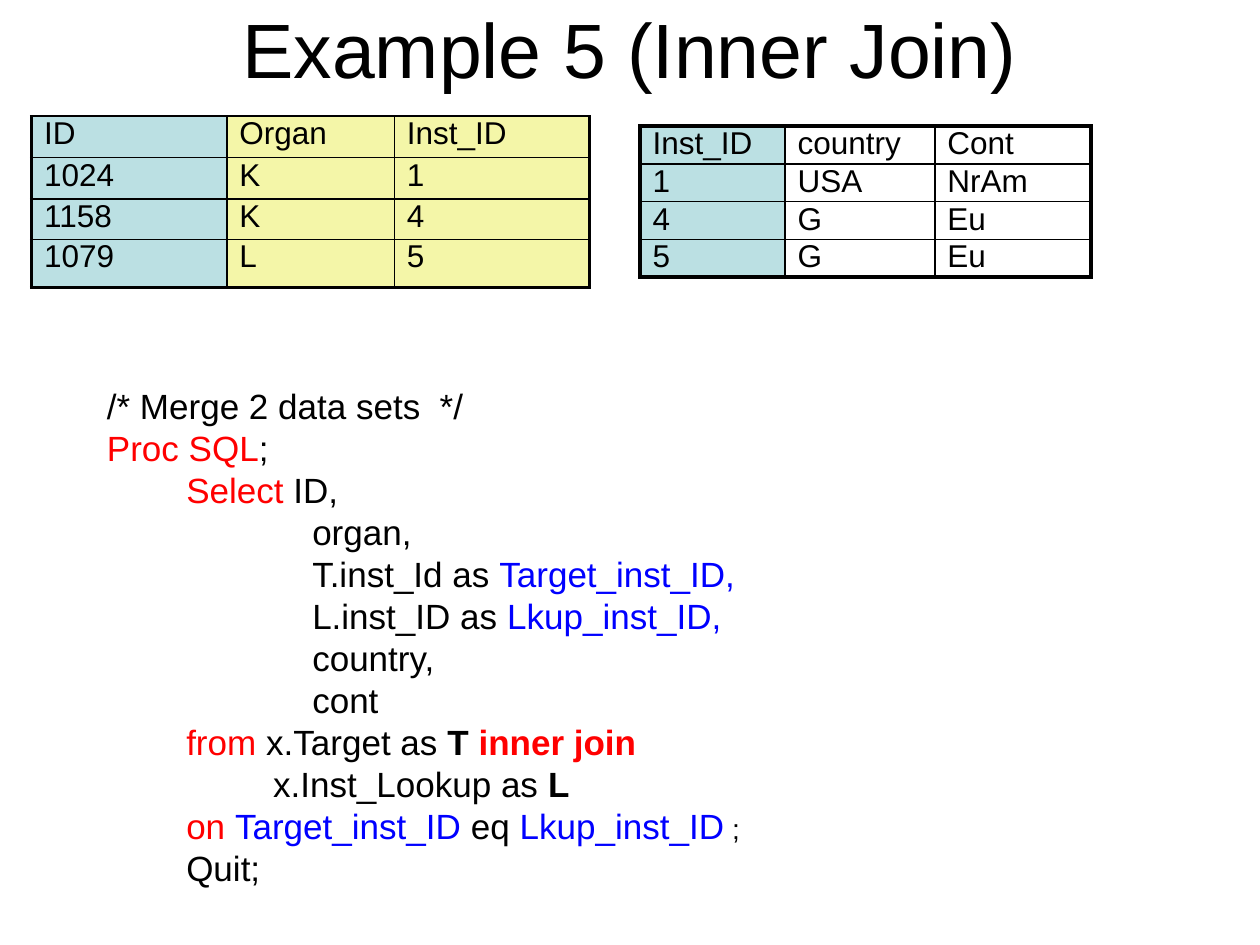
"""Build a slide showing an SQL inner join of two small tables."""
from lxml import etree
from pptx import Presentation
from pptx.dml.color import RGBColor
from pptx.enum.text import MSO_ANCHOR, PP_ALIGN
from pptx.oxml.ns import qn
from pptx.util import Inches, Pt

CENTER = PP_ALIGN.CENTER
MIDDLE = MSO_ANCHOR.MIDDLE
TOP = MSO_ANCHOR.TOP

FONT = "Arial"
COLORS = {"text": "000000", "keyword": "FF0000", "alias": "0000FF",
          "key": "BBE0E3", "target": "F4F6A8"}
THIN, THICK = 1, 2.25
TITLE = "Example 5 (Inner Join)"

TABLES = [
    {"at": (0.25, 0.92), "widths": [1.55, 1.33, 1.55],
     "heights": [0.33, 0.33, 0.32, 0.38],
     "fills": ["key", "target", "target"], "top": THIN,
     "rows": [("ID", "Organ", "Inst_ID"), ("1024", "K", "1"),
              ("1158", "K", "4"), ("1079", "L", "5")]},
    {"at": (5.08, 1), "widths": [1.15, 1.19, 1.24],
     "heights": [0.3] * 4,
     "fills": ["key", None, None], "top": THICK,
     "rows": [("Inst_ID", "country", "Cont"), ("1", "USA", "NrAm"),
              ("4", "G", "Eu"), ("5", "G", "Eu")]},
]

TAB_STOPS = [0.63, 1.32, 1.63]
CODE = [
    [("/* Merge 2 data sets  */", "text")],
    [("Proc SQL", "keyword"), (";", "text")],
    [("\tSelect", "keyword"), (" ID,", "text")],
    [("\t\t\torgan,", "text")],
    [("\t\t\tT.inst_Id as ", "text"), ("Target_inst_ID,", "alias")],
    [("\t\t\tL.inst_ID as ", "text"), ("Lkup_inst_ID,", "alias")],
    [("\t\t\tcountry,", "text")],
    [("\t\t\tcont", "text")],
    [("\tfrom ", "keyword"), ("x.Target as ", "text"),
     ("T ", "text", {"bold": True}), ("inner join", "keyword", {"bold": True})],
    [("\t\tx.Inst_Lookup as ", "text"), ("L", "text", {"bold": True})],
    [("\ton ", "keyword"), ("Target_inst_ID ", "alias"), ("eq ", "text"),
     ("Lkup_inst_ID", "alias"), (" ;", "text", {"size": Pt(16)})],
    [("\tQuit;", "text")],
]


def color(name):
    return RGBColor.from_string(COLORS[name])


def style(paragraph, size):
    paragraph.font.name = FONT
    paragraph.font.size = Pt(size)
    paragraph.font.color.rgb = color("text")


def set_borders(cell, widths):
    properties = cell._tc.get_or_add_tcPr()
    for position, (side, width) in enumerate(zip("LRTB", widths)):
        line = etree.Element(qn(f"a:ln{side}"), w=str(Pt(width)))
        fill = etree.SubElement(line, qn("a:solidFill"))
        etree.SubElement(fill, qn("a:srgbClr"), val=COLORS["text"])
        properties.insert(position, line)


def add_data_table(slide, data):
    rows, widths, heights = data["rows"], data["widths"], data["heights"]
    left, top = data["at"]
    table = slide.shapes.add_table(
        len(rows), len(widths), Inches(left), Inches(top),
        Inches(sum(widths)), Inches(sum(heights))).table
    table.first_row = table.horz_banding = False
    for column, width in zip(table.columns, widths):
        column.width = Inches(width)
    last_row, last_column = len(rows) - 1, len(widths) - 1
    for r, values in enumerate(rows):
        table.rows[r].height = Inches(heights[r])
        for c, value in enumerate(values):
            cell = table.cell(r, c)
            cell.text = value
            cell.margin_left = cell.margin_right = Inches(0.1)
            cell.margin_top = cell.margin_bottom = 0
            style(cell.text_frame.paragraphs[0], 18)
            fill = data["fills"][c]
            if fill:
                cell.fill.solid()
                cell.fill.fore_color.rgb = color(fill)
            else:
                cell.fill.background()
            set_borders(cell, [THICK if c == 0 else THIN,
                               THICK if c == last_column else THIN,
                               data["top"] if r == 0 else THIN,
                               THICK if r == last_row else THIN])


def add_code(slide):
    frame = slide.shapes.add_textbox(
        Inches(0.75), Inches(3), Inches(7.58), Inches(4.81)).text_frame
    frame.word_wrap = True
    for number, parts in enumerate(CODE):
        line = frame.add_paragraph() if number else frame.paragraphs[0]
        tabs = etree.SubElement(line._p.get_or_add_pPr(), qn("a:tabLst"))
        for stop in TAB_STOPS:
            etree.SubElement(tabs, qn("a:tab"), pos=str(Inches(stop)), algn="l")
        style(line, 20)
        for text, role, *extras in parts:
            run = line.add_run()
            run.text = text
            run.font.color.rgb = color(role)
            for extra in extras:
                run.font.bold = extra.get("bold")
                run.font.size = extra.get("size")


def main():
    deck = Presentation()
    deck.slide_width, deck.slide_height = Inches(10), Inches(7.5)
    slide = deck.slides.add_slide(deck.slide_layouts[5])
    title = slide.shapes.title
    title.left, title.top = Inches(0.5), Inches(-0.25)
    title.width, title.height = Inches(9), Inches(1.25)
    title.text_frame.text = TITLE
    title.text_frame.vertical_anchor = MIDDLE
    heading = title.text_frame.paragraphs[0]
    heading.alignment = CENTER
    style(heading, 44)
    for data in TABLES:
        add_data_table(slide, data)
    add_code(slide)
    deck.save("out.pptx")


if __name__ == "__main__":
    main()
